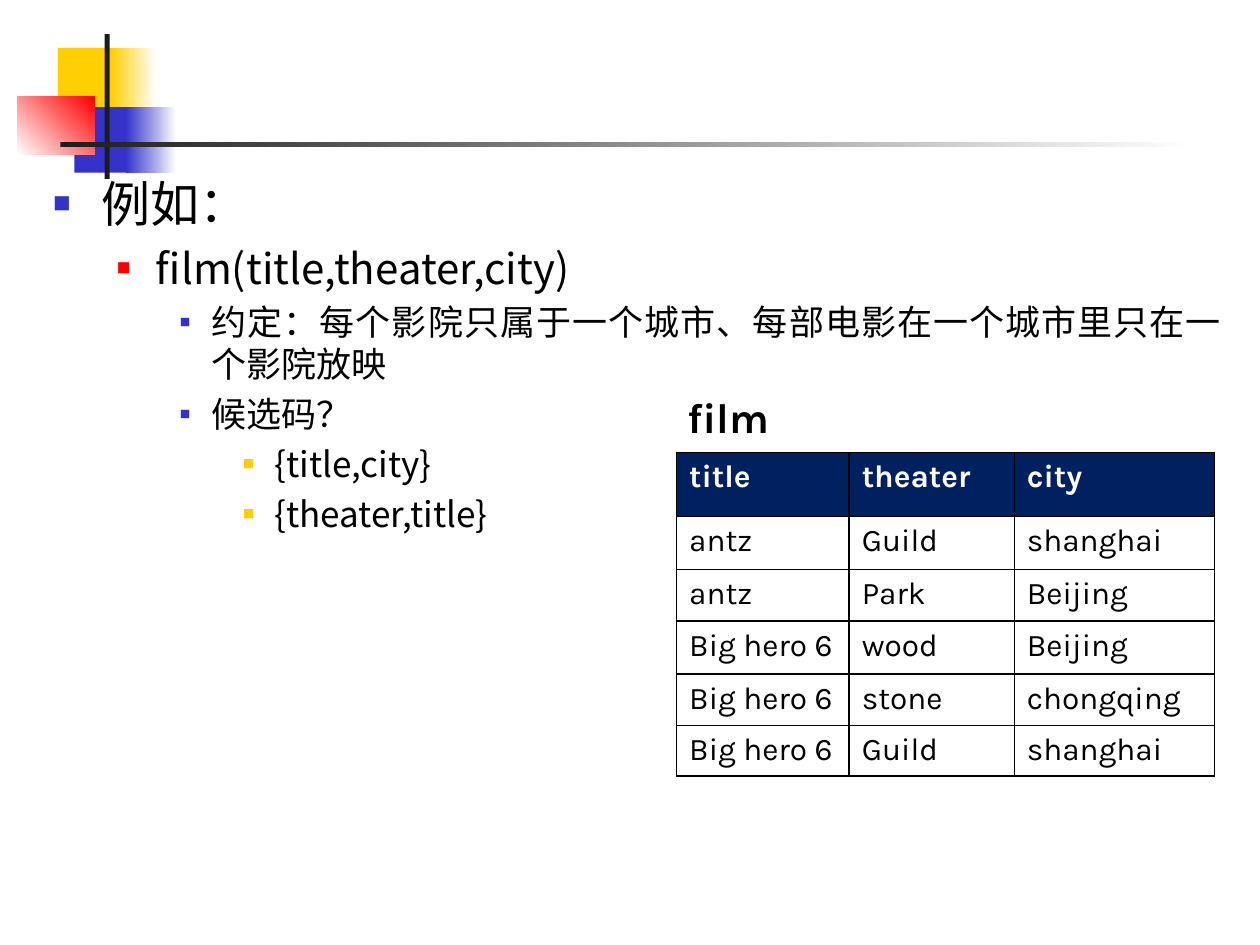
import pptx
import pptx.dml.color
import pptx.enum.shapes
import pptx.enum.text
import pptx.oxml.ns
import pptx.util
from lxml import etree

Inches = pptx.util.Inches
Pt = pptx.util.Pt
qn = pptx.oxml.ns.qn

COLORS = {
    "yellow": "FFCF01", "blue": "3333CC", "red": "FF0000", "navy": "002060",
    "ink": "1C1C1C", "black": "000000", "white": "FFFFFF",
}
BODY_FONT, TABLE_FONT = "Noto Sans CJK SC", "Karla"

# left, top, width, height, first colour, last colour, angle
ORNAMENTS = [
    (0.32, 0.11, 0.48, 0.52, "yellow", None, 0),
    (0.74, 0.11, 0.36, 0.52, "yellow", "white", 0),
    (0.45, 0.58, 0.46, 0.52, "blue", None, 0),
    (0.86, 0.58, 0.40, 0.52, "blue", "white", 0),
    (0, 0.50, 0.61, 0.46, "white", "red", 45),
    (0.69, 0, 0.04, 1.15, "ink", None, 0),
    (0.34, 0.86, 9, 0.04, "ink", "white", 0),
]

# per outline level: indent, hanging, bullet colour, bullet percent, text size
LEVELS = [
    (0.38, 0.38, "blue", 36, 28),
    (0.81, 0.31, "red", 33, 24),
    (1.25, 0.25, "blue", 30, 20),
    (1.75, 0.25, "yellow", 33, 20),
]
OUTLINE = [
    (0, "例如："),
    (1, "film(title,theater,city)"),
    (2, "约定：每个影院只属于一个城市、每部电影在一个城市里只在一个影院放映"),
    (2, "候选码？"),
    (3, "{title,city}"),
    (3, "{theater,title}"),
]
FILMS = [
    ("title", "theater", "city"),
    ("antz", "Guild", "shanghai"),
    ("antz", "Park", "Beijing"),
    ("Big hero 6", "wood", "Beijing"),
    ("Big hero 6", "stone", "chongqing"),
    ("Big hero 6", "Guild", "shanghai"),
]
COLUMN_WIDTHS = [1.37, 1.31, 1.59]
ROW_HEIGHTS = [0.51, 0.42, 0.41, 0.42, 0.41, 0.39]


def rgb(name):
    return pptx.dml.color.RGBColor.from_string(COLORS[name])


def add_xml(parent, tag, **attributes):
    return etree.SubElement(parent, qn(tag), attributes)


def write(paragraph, text, font, size, color="black", bold=False):
    paragraph.alignment = pptx.enum.text.PP_ALIGN.JUSTIFY
    run = paragraph.add_run()
    run.text = text
    for attribute, value in {"name": font, "size": Pt(size), "bold": bold}.items():
        setattr(run.font, attribute, value)
    run.font.color.rgb = rgb(color)
    add_xml(run._r.get_or_add_rPr(), "a:ea", typeface=font)


def add_ornaments(slide, left, top):
    for x, y, width, height, first, last, angle in ORNAMENTS:
        block = slide.shapes.add_shape(
            pptx.enum.shapes.MSO_SHAPE.RECTANGLE,
            Inches(left + x), Inches(top + y), Inches(width), Inches(height))
        block.shadow.inherit = False
        block.line.fill.background()
        if last is None:
            block.fill.solid()
            block.fill.fore_color.rgb = rgb(first)
            continue
        block.fill.gradient()
        block.fill.gradient_angle = angle
        for stop, color, position in zip(block.fill.gradient_stops, (first, last), (0, 1)):
            stop.color.rgb = rgb(color)
            stop.position = position


def add_bullet(paragraph, level):
    indent, hanging, color, percent, _ = LEVELS[level]
    properties = paragraph._p.get_or_add_pPr()
    properties.set("marL", str(Inches(indent)))
    properties.set("indent", str(-Inches(hanging)))
    add_xml(add_xml(properties, "a:buClr"), "a:srgbClr", val=COLORS[color])
    add_xml(properties, "a:buSzPct", val=str(percent * 1000))
    add_xml(properties, "a:buFont", typeface=BODY_FONT)
    add_xml(properties, "a:buChar", char="■")


def add_outline(slide, left, top, width, height):
    frame = slide.shapes.add_textbox(
        Inches(left), Inches(top), Inches(width), Inches(height)).text_frame
    frame.word_wrap = True
    for index, (level, text) in enumerate(OUTLINE):
        paragraph = frame.add_paragraph() if index else frame.paragraphs[0]
        size = LEVELS[level][-1]
        paragraph.level = level
        add_bullet(paragraph, level)
        if index:
            paragraph.space_before = Pt(round(size * 0.23, 1))
        write(paragraph, text, BODY_FONT, size)


def add_borders(cell):
    properties = cell._tc.get_or_add_tcPr()
    for side in ("L", "R", "T", "B"):
        line = add_xml(properties, f"a:ln{side}", w=str(Pt(1)))
        add_xml(add_xml(line, "a:solidFill"), "a:srgbClr", val=COLORS["black"])


def add_film_table(slide, left, top):
    """Place the caption with the table below it."""
    caption = slide.shapes.add_textbox(
        Inches(left), Inches(top), Inches(1.81), Inches(0.5)).text_frame
    caption.word_wrap = True
    write(caption.paragraphs[0], "film", TABLE_FONT, 24, bold=True)

    table = slide.shapes.add_table(
        len(FILMS), len(COLUMN_WIDTHS), Inches(left + 0.01), Inches(top + 0.53),
        Inches(sum(COLUMN_WIDTHS)), Inches(sum(ROW_HEIGHTS))).table
    for column, width in zip(table.columns, COLUMN_WIDTHS):
        column.width = Inches(width)
    for row, height in zip(table.rows, ROW_HEIGHTS):
        row.height = Inches(height)
    for r, film in enumerate(FILMS):
        header = r == 0
        for c, text in enumerate(film):
            cell = table.cell(r, c)
            add_borders(cell)
            if header:
                cell.fill.solid()
                cell.fill.fore_color.rgb = rgb("navy")
            else:
                cell.fill.background()
            write(cell.text_frame.paragraphs[0], text, TABLE_FONT, 18,
                  "white" if header else "black", header)


def main():
    presentation = pptx.Presentation()
    presentation.slide_width = Inches(10)
    presentation.slide_height = Inches(7.5)
    slide = presentation.slides.add_slide(presentation.slide_layouts[6])
    add_ornaments(slide, 0.14, 0.27)
    add_outline(slide, 0.33, 1.33, 9.46, 5.92)
    add_film_table(slide, 5.36, 3.06)
    presentation.save("out.pptx")


if __name__ == "__main__":
    main()
